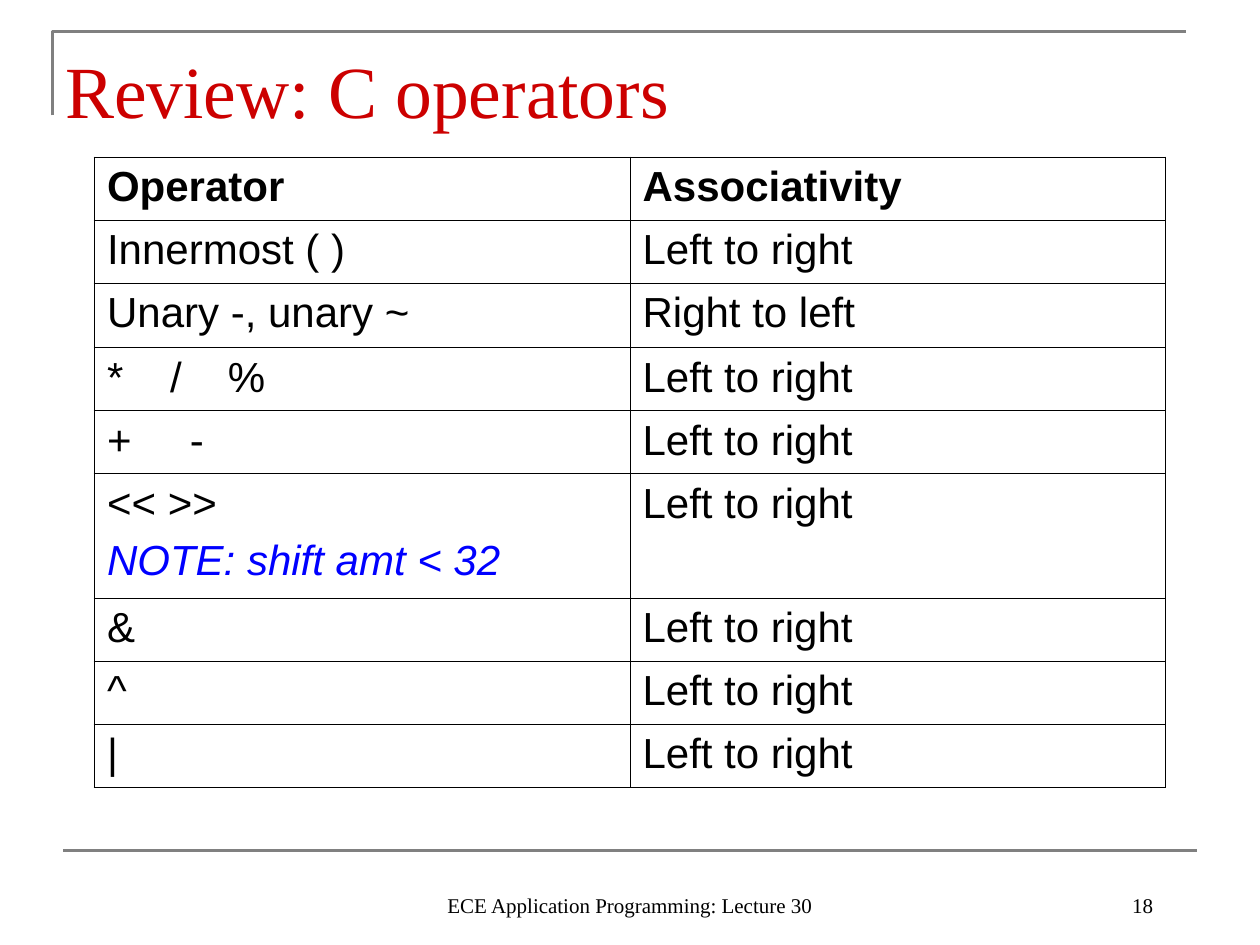
from lxml import etree
from pptx import Presentation
from pptx.dml.color import RGBColor
from pptx.enum.shapes import MSO_CONNECTOR
from pptx.enum.text import MSO_ANCHOR, PP_ALIGN
from pptx.oxml.ns import qn
from pptx.util import Pt

PX = 9525
BLACK = RGBColor(0, 0, 0)
RED = RGBColor(0xCC, 0, 0)
BLUE = RGBColor(0, 0, 0xFF)
GRAY = RGBColor(0x80, 0x80, 0x80)
SERIF, SANS = "Times New Roman", "Arial"
LEFT, CENTER, RIGHT = PP_ALIGN.LEFT, PP_ALIGN.CENTER, PP_ALIGN.RIGHT
MIDDLE, BOTTOM = MSO_ANCHOR.MIDDLE, MSO_ANCHOR.BOTTOM
STRAIGHT = MSO_CONNECTOR.STRAIGHT
OUTER, INNER = Pt(1.08), Pt(0.45)

NOTE = "NOTE: shift amt < 32"
OPERATORS = [
    ("Operator", "Associativity"),
    ("Innermost ( )", "Left to right"),
    ("Unary -, unary ~", "Right to left"),
    ("*\t/\t%", "Left to right"),
    ("+\t-", "Left to right"),
    ("<< >>\n" + NOTE, "Left to right"),
    ("&", "Left to right"),
    ("^", "Left to right"),
    ("|", "Left to right"),
]
ROW_HEIGHTS = [48, 48, 49, 48, 48, 95, 48, 48, 48]
TAB_STOPS = {"*\t/\t%": (48, 92), "+\t-": (63,)}


def emu(*lengths):
    """Turn px lengths into EMU."""
    return [length * PX for length in lengths]


def set_font(paragraph, face, size, color):
    """Give a whole paragraph its face, size and colour."""
    font = paragraph.font
    font.name, font.size = face, Pt(size)
    font.color.rgb = color
    return font


def add_frame(slide, x, y, width, height):
    """Draw the corner line that opens around the title."""
    builder = slide.shapes.build_freeform(*emu(x, y + height))
    builder.add_line_segments([emu(x, y), emu(x + width, y)], close=False)
    corner = builder.convert_to_shape()
    corner.shadow.inherit = False
    corner.fill.background()
    corner.line.color.rgb, corner.line.width = GRAY, Pt(1.5)


def add_rule(slide, x, y, width):
    """Draw the line above the footer."""
    rule = slide.shapes.add_connector(STRAIGHT, *emu(x, y, x + width, y))
    rule.line.color.rgb, rule.line.width = GRAY, Pt(1.5)
    etree.SubElement(rule._element.spPr, qn("a:effectLst"))


def fill_title(slide, text, x, y, width, height):
    """Place and format the title placeholder."""
    title = slide.shapes.title
    title.left, title.top, title.width, title.height = emu(x, y, width, height)
    title.text_frame.text = text
    title.text_frame.vertical_anchor = MIDDLE
    heading = title.text_frame.paragraphs[0]
    heading.alignment = LEFT
    set_font(heading, SERIF, 42, RED)


def add_footer(slide, text, align, x, y, width, height):
    """Add one bottom-anchored footer text."""
    frame = slide.shapes.add_textbox(*emu(x, y, width, height)).text_frame
    frame.word_wrap = True
    frame.vertical_anchor = BOTTOM
    frame.text = text
    frame.paragraphs[0].alignment = align
    set_font(frame.paragraphs[0], SERIF, 12, BLACK)


def set_borders(cell, widths):
    """Draw the left, right, top and bottom borders of a cell."""
    properties = cell._tc.get_or_add_tcPr()
    for place, (side, width) in enumerate(zip("LRTB", widths)):
        border = etree.Element(qn(f"a:ln{side}"), w=str(int(width)))
        fill = etree.SubElement(border, qn("a:solidFill"))
        etree.SubElement(fill, qn("a:srgbClr"), val=str(BLACK))
        properties.insert(place, border)


def set_tabs(paragraph, stops):
    """Give a paragraph left tab stops."""
    tabs = etree.SubElement(paragraph._p.get_or_add_pPr(), qn("a:tabLst"))
    for stop in stops:
        etree.SubElement(tabs, qn("a:tab"), pos=str(stop * PX), algn="l")


def fill_cell(cell, text, is_header):
    """Write one cell, with its note in blue italics."""
    cell.fill.background()
    cell.text_frame.text = text
    for index, paragraph in enumerate(cell.text_frame.paragraphs):
        is_note = paragraph.text == NOTE
        if index:
            paragraph.space_before = Pt(6)
        if text in TAB_STOPS:
            set_tabs(paragraph, TAB_STOPS[text])
        font = set_font(paragraph, SANS, 24, BLUE if is_note else BLACK)
        font.bold, font.italic = is_header, is_note


def add_operator_table(slide, x, y, width, height):
    """Add the table of operators and their associativity."""
    last_row, last_column = len(OPERATORS) - 1, len(OPERATORS[0]) - 1
    table = slide.shapes.add_table(
        last_row + 1, last_column + 1, *emu(x, y, width, height)).table
    table.first_row = table.horz_banding = False
    for r, texts in enumerate(OPERATORS):
        table.rows[r].height = ROW_HEIGHTS[r] * PX
        for c, text in enumerate(texts):
            cell = table.cell(r, c)
            fill_cell(cell, text, r == 0)
            edges = (c == 0, c == last_column, r == 0, r == last_row)
            set_borders(cell, [OUTER if edge else INNER for edge in edges])


def main():
    """Build the slide and save it."""
    deck = Presentation()
    deck.slide_width, deck.slide_height = emu(960, 720)
    slide = deck.slides.add_slide(deck.slide_layouts[5])
    add_frame(slide, 40, 24, 864, 64)
    add_rule(slide, 48, 648, 864)
    fill_title(slide, "Review: C operators", 40, 24, 816, 88)
    add_operator_table(slide, 72, 120, 816, sum(ROW_HEIGHTS))
    add_footer(slide, "18", RIGHT, 688, 656, 200, 48)
    add_footer(slide, "ECE Application Programming: Lecture 30", CENTER,
               328, 656, 304, 48)
    deck.save("out.pptx")


if __name__ == "__main__":
    main()
